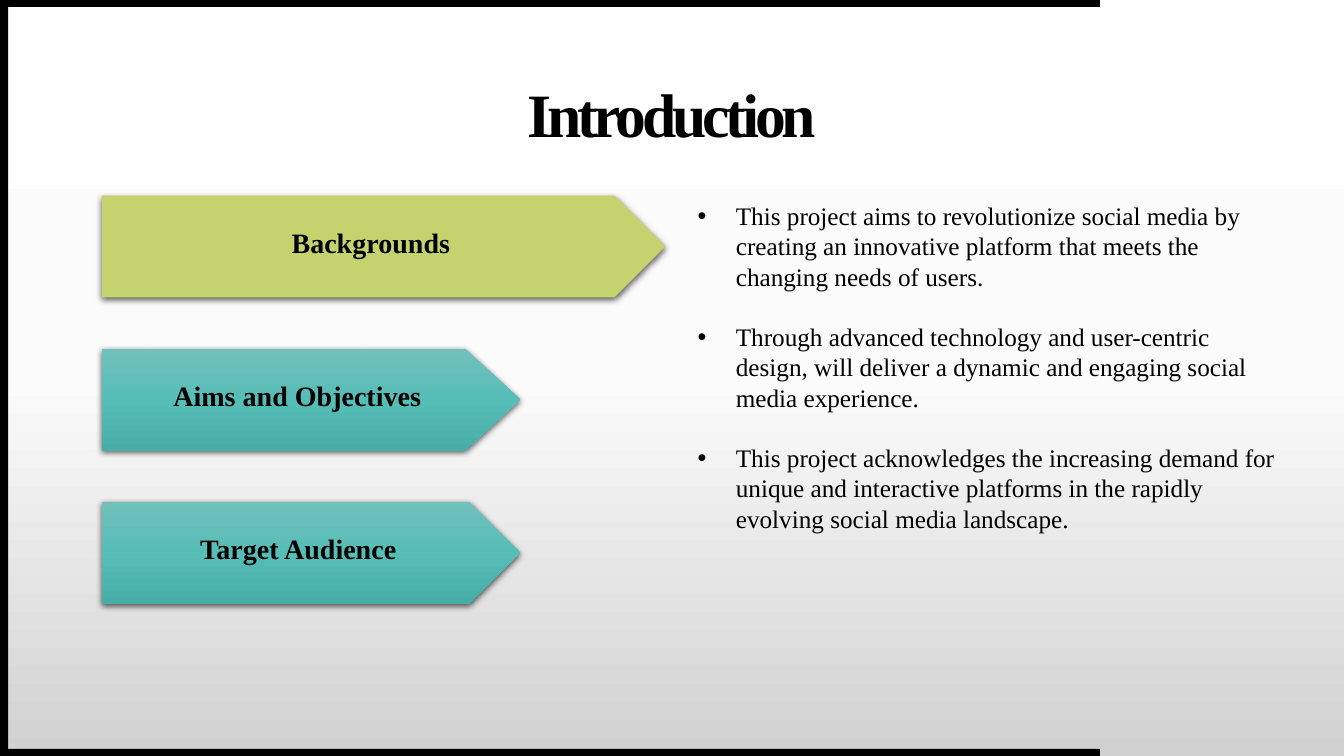
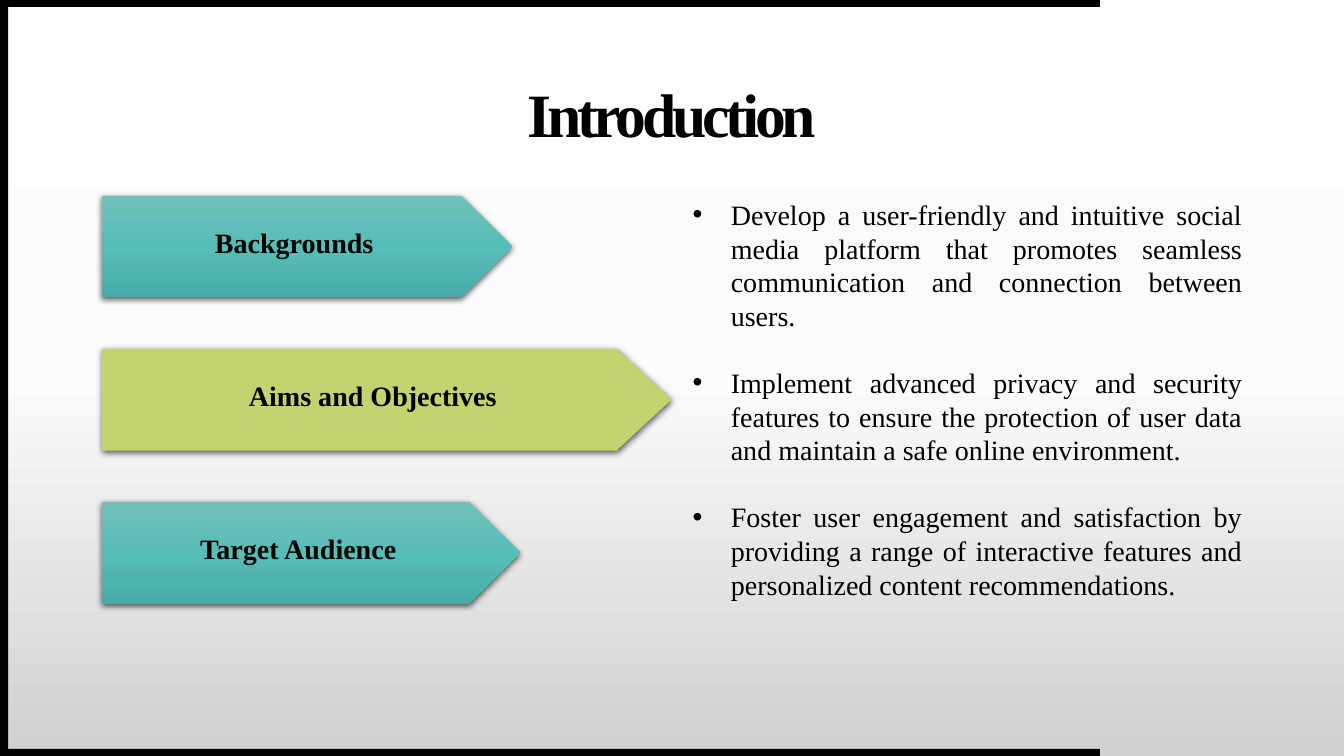
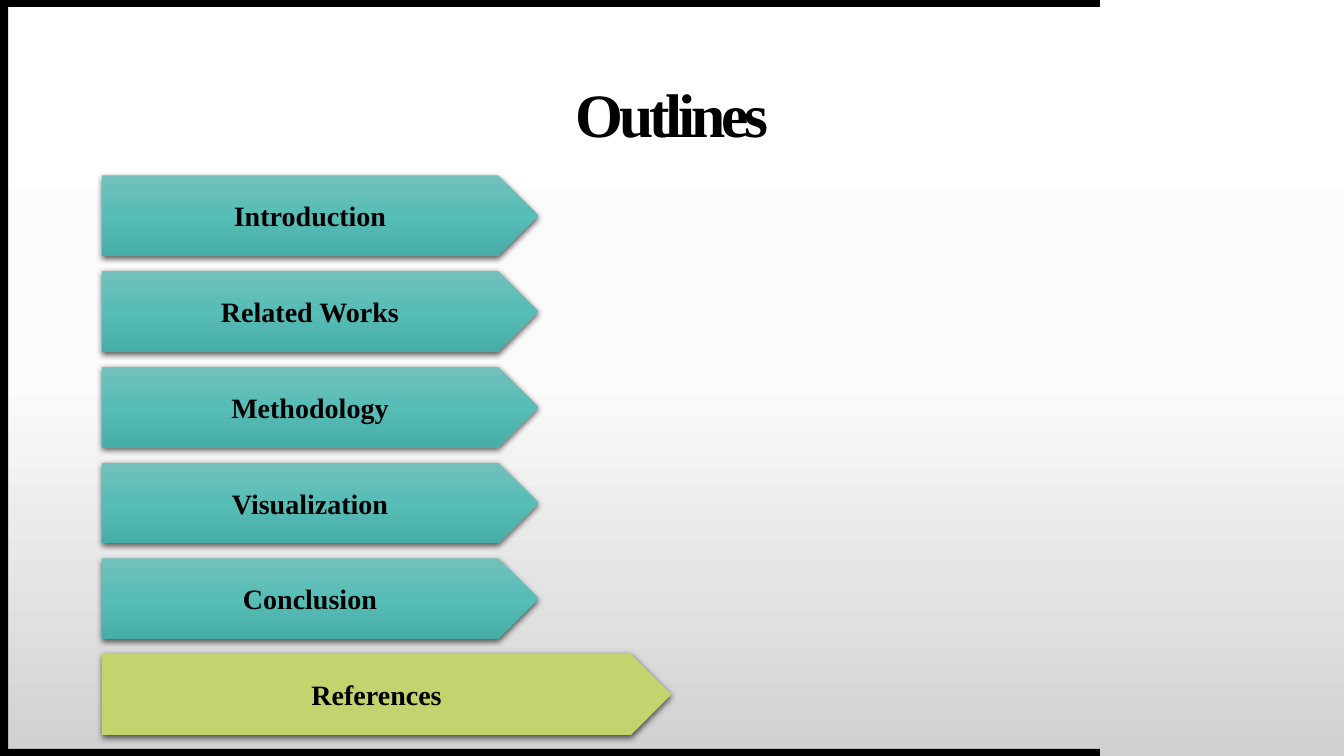
"""Build three agenda slides with arrow-shaped section markers."""
import lxml.etree
import pptx
import pptx.dml.color
import pptx.enum.shapes
import pptx.enum.text
import pptx.oxml.ns
import pptx.util

Inches, Pt, qn = pptx.util.Inches, pptx.util.Pt, pptx.oxml.ns.qn
ALIGN = pptx.enum.text.PP_ALIGN
SHAPE = pptx.enum.shapes.MSO_SHAPE
MIDDLE = pptx.enum.text.MSO_ANCHOR.MIDDLE

FONT = "Times New Roman"
BLACK, LIME = "000000", "C4D36D"
TEAL = ["72C0BB", "57BDB7", "48ADA7"]
BACKDROP = ["FFFFFF", "FBFBFB", "D1D1D1"]
WIDTH, HEIGHT = 13.33, 7.5
MARGIN = 1.01
BAND = 0.07


def paint(fill, owner, colours):
    """Fill with one hex colour, or with a list as an even downward gradient."""
    if isinstance(colours, str):
        fill.solid()
        fill.fore_color.rgb = pptx.dml.color.RGBColor.from_string(colours)
        return
    fill.gradient()
    fill.gradient_angle = 270
    stops = next(owner.iter(qn("a:gsLst")))
    for stop in list(stops):
        stops.remove(stop)
    for i, colour in enumerate(colours):
        stop = lxml.etree.SubElement(stops, qn("a:gs"), pos=str(i * 100000 // (len(colours) - 1)))
        lxml.etree.SubElement(stop, qn("a:srgbClr"), val=colour)


def style(paragraph, size, bold=False, align=ALIGN.CENTER):
    """Set the alignment and font of a paragraph."""
    paragraph.alignment = align
    paragraph.font.name = FONT
    paragraph.font.size = Pt(size)
    paragraph.font.bold = bold
    paragraph.font.color.rgb = pptx.dml.color.RGBColor.from_string(BLACK)


topics = ["Backgrounds", "Aims and Objectives", "Target Audience"]
topic_rows = {"top": 1.94, "pitch": 1.52, "height": 1.01, "lift": 0.14}
pages = [
    {
        "title": "Introduction", "labels": topics, "rows": topic_rows,
        "widths": [5.59, 4.15, 4.15], "current": "Backgrounds",
        "body": (6.82, 1.94, 6.05, 3.43), "size": 18, "align": ALIGN.LEFT,
        "points": [
            "This project aims to revolutionize social media by creating an innovative platform that meets the changing needs of users.",
            "Through advanced technology and user-centric design, will deliver a dynamic and engaging social media experience.",
            "This project acknowledges the increasing demand for unique and interactive platforms in the rapidly evolving social media landscape.",
        ],
    },
    {
        "title": "Introduction", "labels": topics, "rows": topic_rows,
        "widths": [4.07, 5.65, 4.15], "current": "Aims and Objectives",
        "body": (6.77, 1.91, 5.65, 4.14), "size": 20, "align": ALIGN.JUSTIFY,
        "points": [
            "Develop a user-friendly and intuitive social media platform that promotes seamless communication and connection between users.",
            "Implement advanced privacy and security features to ensure the protection of user data and maintain a safe online environment.",
            "Foster user engagement and satisfaction by providing a range of interactive features and personalized content recommendations.",
        ],
    },
    {
        "title": "Outlines",
        "labels": ["Introduction", "Related Works", "Methodology", "Visualization", "Conclusion", "References"],
        "rows": {"top": 1.74, "pitch": 0.95, "height": 0.8, "lift": 0.05},
        "widths": [4.33] * 5 + [5.65], "current": "References",
        "points": [],
    },
]

deck = pptx.Presentation()
deck.slide_width, deck.slide_height = Inches(WIDTH), Inches(HEIGHT)
layout = deck.slide_layouts[5]
paint(layout.background.fill, layout.element, BACKDROP)
for holder in list(layout.placeholders)[1:]:
    holder.element.getparent().remove(holder.element)
slides = [deck.slides.add_slide(layout) for page in pages]

frame = [
    (0, HEIGHT - BAND, 10.91, BAND),
    (0, 0, 10.91, BAND),
    (0, 0, 0.08, HEIGHT),
]
for box in frame:
    band = slides[0].shapes.add_shape(SHAPE.RECTANGLE, *map(Inches, box))
    band.shadow.inherit = False
    band.line.fill.background()
    paint(band.fill, band.element, BLACK)
    layout.element.cSld.spTree.append(band.element)

for slide, page in zip(slides, pages):
    title = slide.shapes.title
    title.left, title.top = Inches(MARGIN), Inches(0.48)
    title.width, title.height = Inches(WIDTH - 2 * MARGIN), Inches(1.27)
    heading = title.text_frame
    heading.text = page["title"]
    heading.vertical_anchor = MIDDLE
    heading.margin_left = heading.margin_right = heading.margin_top = heading.margin_bottom = 0
    style(heading.paragraphs[0], 44, bold=True)
    next(title.element.iter(qn("a:defRPr"))).set("spc", "-300")

    rows = page["rows"]
    for i, (label, width) in enumerate(zip(page["labels"], page["widths"])):
        top = rows["top"] + i * rows["pitch"]
        arrow = slide.shapes.add_shape(
            SHAPE.PENTAGON, Inches(MARGIN), Inches(top), Inches(width), Inches(rows["height"]))
        if label == "Aims and Objectives":
            arrow.adjustments[0] = 0.54
        arrow.line.fill.background()
        paint(arrow.fill, arrow.element, LIME if label == page["current"] else TEAL)
        arrow.shadow.inherit = False
        shadow = lxml.etree.SubElement(
            next(arrow.element.iter(qn("a:effectLst"))), qn("a:outerShdw"),
            blurRad=str(Pt(4.5)), dist=str(Pt(1.5)), dir="5400000", rotWithShape="0")
        shade = lxml.etree.SubElement(shadow, qn("a:srgbClr"), val=BLACK)
        lxml.etree.SubElement(shade, qn("a:alpha"), val="63000")
        caption = arrow.text_frame
        caption.text = label
        caption.vertical_anchor = MIDDLE
        caption.margin_bottom = Inches(rows["lift"])
        style(caption.paragraphs[0], 20, bold=True)

    if page["points"]:
        body = slide.shapes.add_textbox(*map(Inches, page["body"])).text_frame
        body.word_wrap = True
        body.text = "\n".join(page["points"])
        for point in body.paragraphs:
            indent = point._p.get_or_add_pPr()
            indent.set("marL", str(Inches(0.38)))
            indent.set("indent", str(Inches(-0.38)))
            lxml.etree.SubElement(indent, qn("a:buFont"), typeface="Arial")
            lxml.etree.SubElement(indent, qn("a:buChar"), char="•")
            style(point, page["size"], align=page["align"])
            if point is not body.paragraphs[-1]:
                point.space_after = Pt(page["size"] * 1.2)

deck.save("out.pptx")
